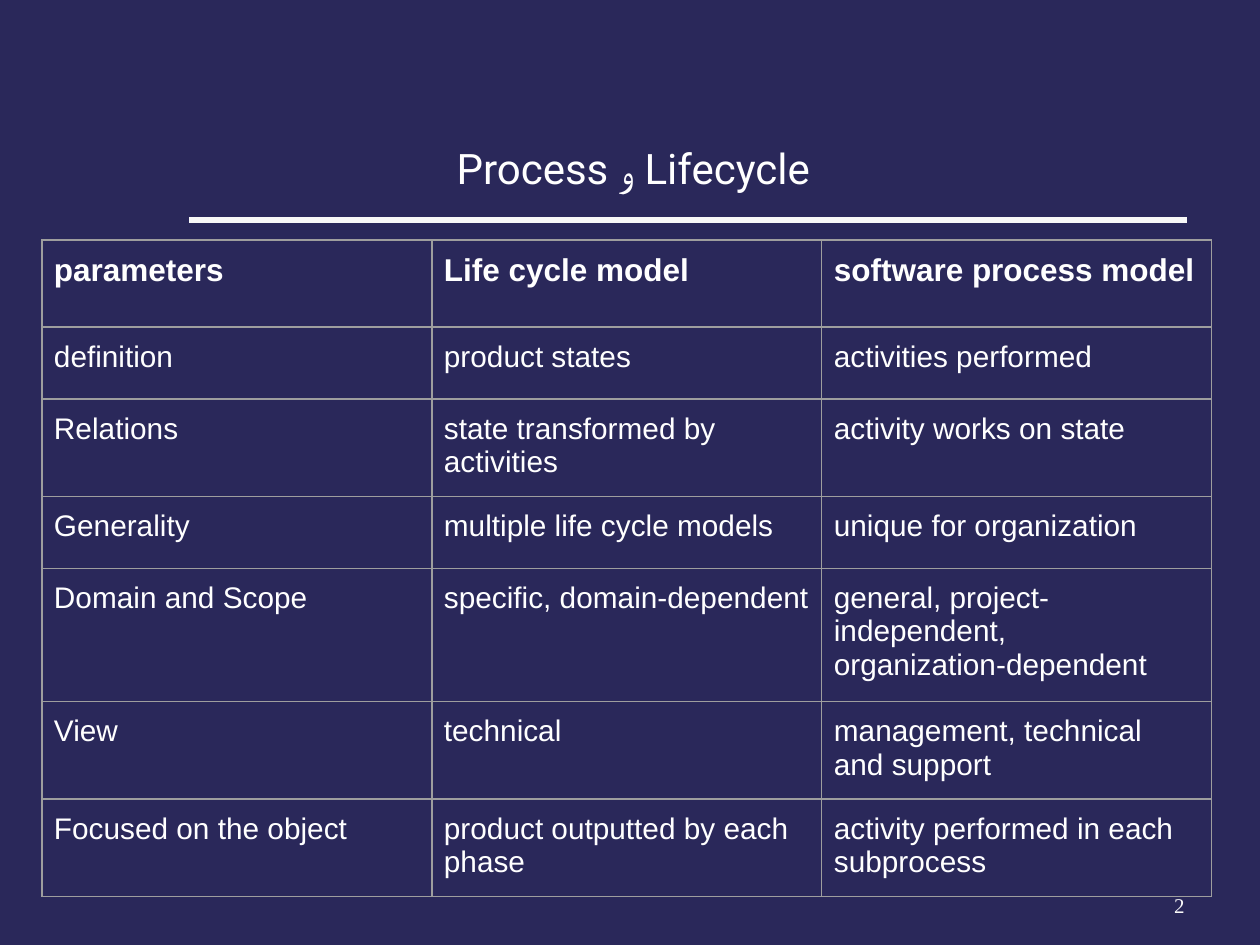
from dataclasses import dataclass

from lxml.etree import SubElement
from pptx import Presentation
from pptx.dml.color import RGBColor
from pptx.enum.shapes import MSO_CONNECTOR as Connector
from pptx.enum.text import MSO_ANCHOR as Anchor, PP_ALIGN as Align
from pptx.oxml.ns import qn
from pptx.slide import Slide
from pptx.util import Emu, Pt

EMU_PER_PX = 914400 / 126
BACKGROUND, WHITE, OFF_WHITE, BORDER = "2A285A", "FFFFFF", "F8F8F8", "9E9E9E"
COLUMN_WIDTH, HEADER_HEIGHT, ROW_HEIGHT = 390, 87, 72
SIDE_INSET, VERTICAL_INSET = 12, 13

ROWS = [
    ("parameters", "Life cycle model", "software process model"),
    ("definition", "product states", "activities performed"),
    ("Relations", "state transformed by activities", "activity works on state"),
    ("Generality", "multiple life cycle models", "unique for organization"),
    ("Domain and Scope", "specific, domain-dependent",
     "general, project-independent,\norganization-dependent"),
    ("View", "technical", "management, technical and support"),
    ("Focused on the object", "product outputted by each phase",
     "activity performed in each subprocess"),
]


@dataclass(frozen=True)
class TextRun:
    text: str
    font: str


@dataclass(frozen=True)
class Label:
    left: int
    top: int
    width: int
    height: int
    runs: tuple[TextRun, ...]
    size: int
    color: str
    paragraph_format: dict
    right_to_left: bool = False


TITLE = Label(
    189, 42, 878, 157,
    (TextRun("Lifecycle", "Roboto"), TextRun(" و ", "Arial"), TextRun("Process ", "Roboto")),
    24, WHITE,
    {"alignment": Align.CENTER, "line_spacing": 1.1,
     "space_before": Pt(8), "space_after": Pt(8)},
    right_to_left=True,
)
PAGE_NUMBER = Label(
    903, 861, 294, 63, (TextRun("2", "Times New Roman"),),
    12, OFF_WHITE, {"alignment": Align.RIGHT},
)


def px(length: int) -> Emu:
    return Emu(round(length * EMU_PER_PX))


def rgb(color: str) -> RGBColor:
    return RGBColor.from_string(color)


def apply_format(target, values: dict) -> None:
    for name, value in values.items():
        setattr(target, name, value)


def style_font(font, name: str, size: int, color: str, bold: bool = False) -> None:
    apply_format(font, {"name": name, "size": Pt(size), "bold": bold})
    font.color.rgb = rgb(color)


def add_label(slide: Slide, label: Label) -> None:
    shape = slide.shapes.add_textbox(
        px(label.left), px(label.top), px(label.width), px(label.height))
    apply_format(shape.text_frame, {"word_wrap": True, "vertical_anchor": Anchor.BOTTOM})
    paragraph = shape.text_frame.paragraphs[0]
    apply_format(paragraph, label.paragraph_format)
    if label.right_to_left:
        paragraph._p.get_or_add_pPr().set("rtl", "1")
    for text_run in label.runs:
        run = paragraph.add_run()
        run.text = text_run.text
        style_font(run.font, text_run.font, label.size, label.color)


def add_rule(slide: Slide, left: int, right: int, y: int) -> None:
    rule = slide.shapes.add_connector(Connector.STRAIGHT, px(left), px(y), px(right), px(y))
    rule.line.color.rgb = rgb(OFF_WHITE)
    rule.line.width = Pt(3)
    SubElement(rule._element.spPr, qn("a:effectLst"))


def add_borders(cell) -> None:
    properties = cell._tc.get_or_add_tcPr()
    for position, side in enumerate(("a:lnL", "a:lnR", "a:lnT", "a:lnB")):
        line = properties.makeelement(qn(side), {"w": str(Pt(0.75))})
        fill = SubElement(line, qn("a:solidFill"))
        SubElement(fill, qn("a:srgbClr"), val=BORDER)
        properties.insert(position, line)


def fill_cell(cell, text: str, header: bool) -> None:
    apply_format(cell, {
        "text": text, "vertical_anchor": Anchor.TOP,
        "margin_left": px(SIDE_INSET), "margin_right": px(SIDE_INSET),
        "margin_top": px(VERTICAL_INSET), "margin_bottom": px(VERTICAL_INSET),
    })
    cell.fill.background()
    add_borders(cell)
    for paragraph in cell.text_frame.paragraphs:
        for run in paragraph.runs:
            style_font(run.font, "Arial", 18 if header else 17, WHITE, header)


def add_comparison_table(slide: Slide, left: int, top: int) -> None:
    column_count = len(ROWS[0])
    height = HEADER_HEIGHT + ROW_HEIGHT * (len(ROWS) - 1)
    table = slide.shapes.add_table(
        len(ROWS), column_count, px(left), px(top),
        px(COLUMN_WIDTH * column_count), px(height)).table
    apply_format(table, {"first_row": False, "horz_banding": False})
    for column in table.columns:
        column.width = px(COLUMN_WIDTH)
    for row_index, texts in enumerate(ROWS):
        header = row_index == 0
        table.rows[row_index].height = px(HEADER_HEIGHT if header else ROW_HEIGHT)
        for column_index, text in enumerate(texts):
            fill_cell(table.cell(row_index, column_index), text, header)


def main() -> None:
    presentation = Presentation()
    apply_format(presentation, {"slide_width": px(1260), "slide_height": px(945)})
    slide = presentation.slides.add_slide(presentation.slide_layouts[6])
    slide.background.fill.solid()
    slide.background.fill.fore_color.rgb = rgb(BACKGROUND)
    add_rule(slide, 189, 1187, 220)
    add_label(slide, TITLE)
    add_label(slide, PAGE_NUMBER)
    add_comparison_table(slide, 42, 240)
    presentation.save("out.pptx")


if __name__ == "__main__":
    main()
